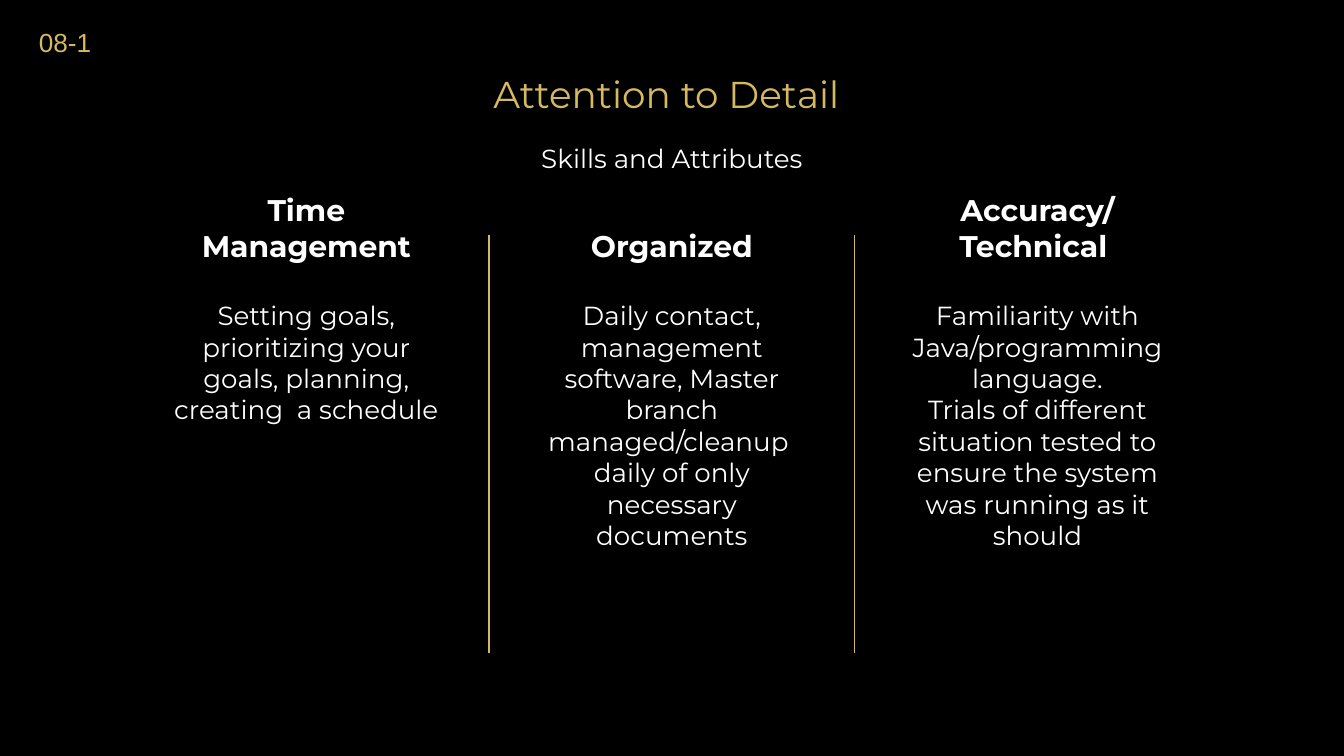
"""Build the Attention to Detail slide with three skill columns."""
import pptx
import pptx.dml.color
import pptx.enum.shapes
import pptx.enum.text
import pptx.oxml
import pptx.oxml.ns
import pptx.util

Inches = pptx.util.Inches
ANCHOR = pptx.enum.text.MSO_ANCHOR
ALIGN = pptx.enum.text.PP_ALIGN

COLORS = {"background": "000000", "gold": "D5B961", "text": "FFFFFF"}
TITLE = "Attention to Detail "
SUBTITLE = "Skills and Attributes"
NUMBER = "08-1"
SKILLS = [
    ("Time Management",
     ["Setting goals, prioritizing your goals, planning, creating  a schedule"]),
    ("Organized",
     ["Daily contact, management software, Master branch managed/cleanup  "
      "daily of only necessary documents"]),
    ("Accuracy/\nTechnical ",
     ["Familiarity with Java/programming language.",
      "Trials of different situation tested to ensure the system was running as it should"]),
]
COLUMN_LEFT, COLUMN_STEP, COLUMN_WIDTH = 1.16, 2.72, 2.24
DIVIDERS = (3.64, 6.36)
DIVIDER_TOP, DIVIDER_BOTTOM = 1.75, 4.86


def rgb(name):
    return pptx.dml.color.RGBColor.from_string(COLORS[name])


def add_text(slide, place, paragraphs, size, color="text", font="Montserrat", bold=False,
             anchor=ANCHOR.TOP, align=ALIGN.CENTER, wrap=True, inset=0.1):
    box = slide.shapes.add_textbox(*[Inches(value) for value in place])
    frame = box.text_frame
    frame.word_wrap = wrap
    frame.vertical_anchor = anchor
    frame.margin_left = frame.margin_right = Inches(0.1)
    frame.margin_top = frame.margin_bottom = Inches(inset)
    for index, text in enumerate(paragraphs):
        para = frame.add_paragraph() if index else frame.paragraphs[0]
        para.alignment = align
        for number, line in enumerate(text.split("\n")):
            if number:
                para.add_line_break()
            span = para.add_run()
            span.text = line
            span.font.name = font
            span.font.size = pptx.util.Pt(size)
            span.font.bold = bold
            span.font.color.rgb = rgb(color)
    return box


def add_divider(slide, x):
    line = slide.shapes.add_connector(
        pptx.enum.shapes.MSO_CONNECTOR.STRAIGHT,
        Inches(x), Inches(DIVIDER_TOP), Inches(x), Inches(DIVIDER_BOTTOM))
    line.line.color.rgb = rgb("gold")
    line.line.width = pptx.util.Pt(0.75)
    properties = line.element.find(pptx.oxml.ns.qn("p:spPr"))
    properties.append(pptx.oxml.parse_xml(
        f'<a:effectLst {pptx.oxml.ns.nsdecls("a")}/>'))


def main():
    deck = pptx.Presentation()
    deck.slide_width = Inches(10)
    deck.slide_height = deck.slide_width * 9 // 16
    slide = deck.slides.add_slide(deck.slide_layouts[6])
    slide.background.fill.solid()
    slide.background.fill.fore_color.rgb = rgb("background")

    add_text(slide, (3.46, 0.4, 3.07, 0.56), [TITLE], 20, "gold", anchor=ANCHOR.BOTTOM)
    for index, (heading, details) in enumerate(SKILLS):
        left = COLUMN_LEFT + index * COLUMN_STEP
        add_text(slide, (left, 1.44, COLUMN_WIDTH, 0.62), [heading], 16,
                 bold=True, anchor=ANCHOR.BOTTOM)
        add_text(slide, (left, 2.13, COLUMN_WIDTH, 0.95), details, 14)
    for x in DIVIDERS:
        add_divider(slide, x)
    number = add_text(slide, (0.19, 0.15, 0.59, 0.34), [NUMBER], 14, "gold", "Arial",
                      align=ALIGN.LEFT, wrap=False, inset=0.05)
    number.text_frame.auto_size = pptx.enum.text.MSO_AUTO_SIZE.SHAPE_TO_FIT_TEXT
    add_text(slide, (2.79, 0.96, 4.42, 0.71), [SUBTITLE], 14)
    deck.save("out.pptx")


if __name__ == "__main__":
    main()
